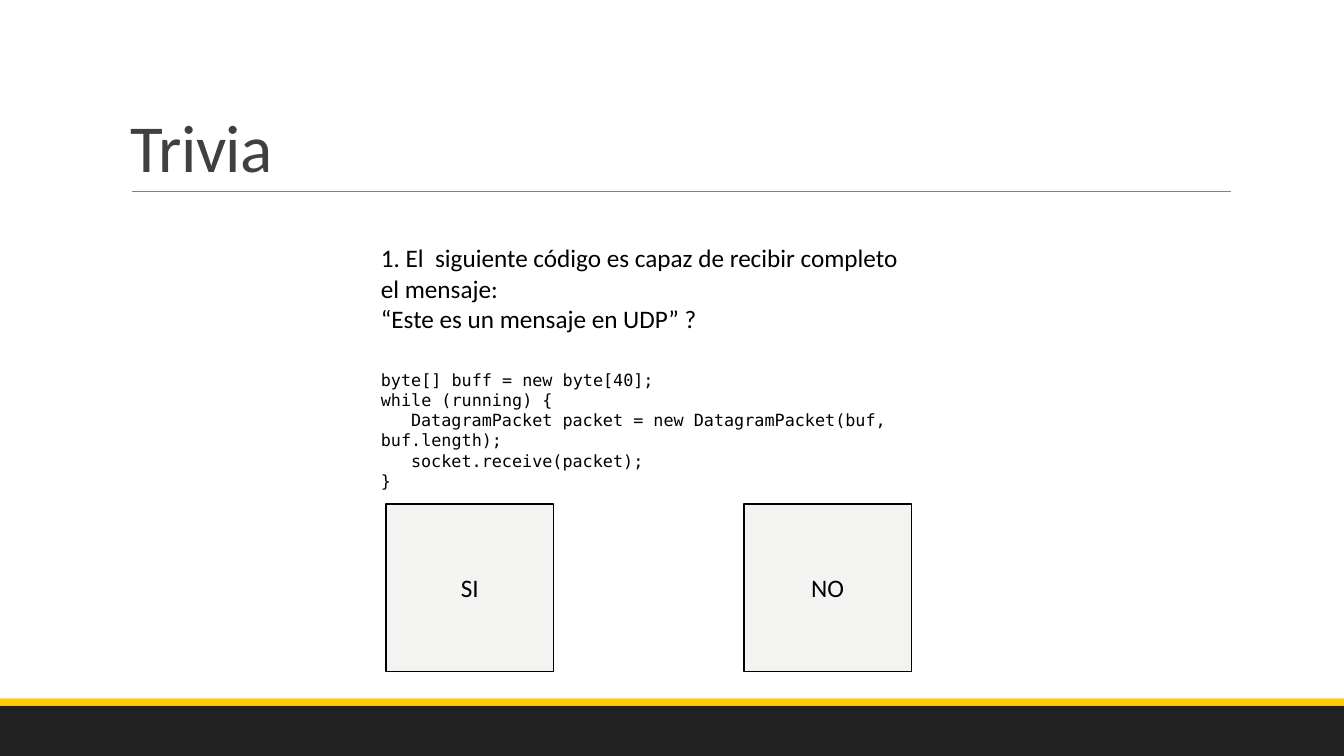
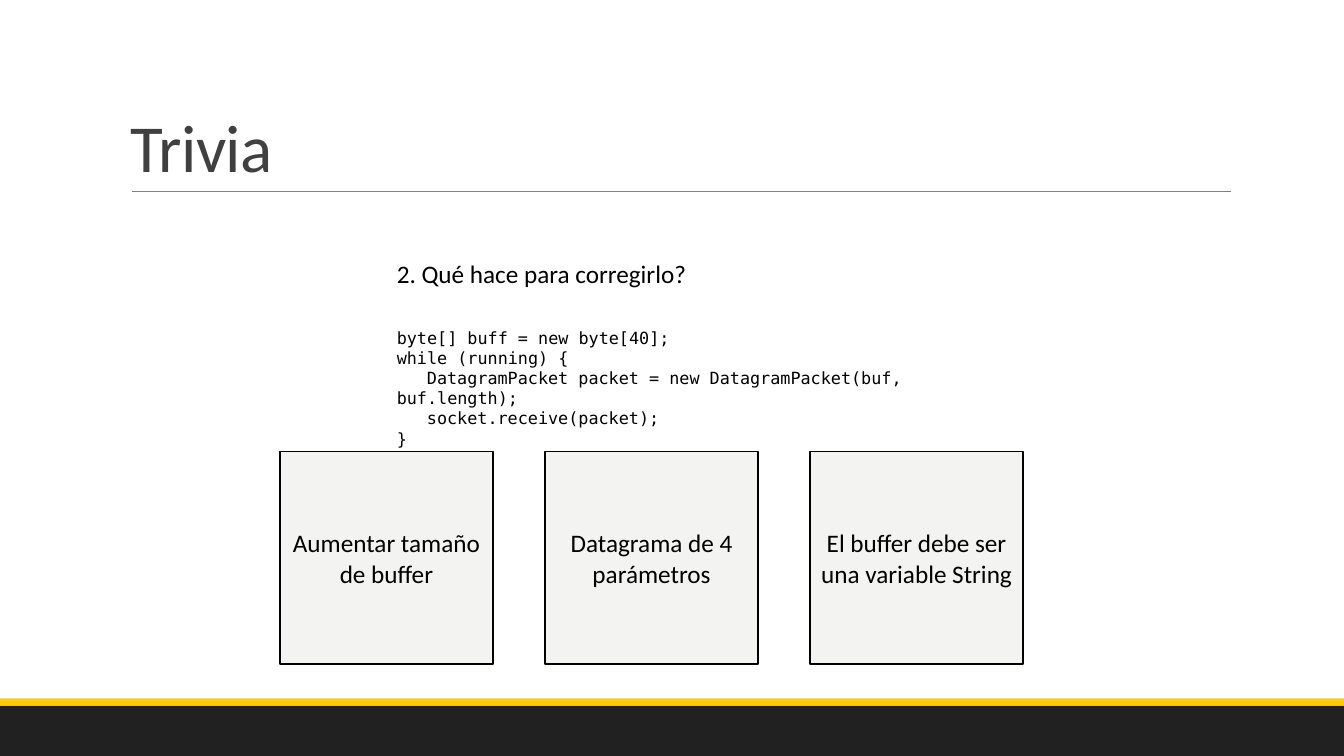
from pptx import Presentation
from pptx import util as u
from pptx.dml.color import RGBColor
from pptx.enum import shapes, text
from pptx.oxml.ns import qn

Cm, Pt = u.Cm, u.Pt

SLIDE_W, SLIDE_H = 33.87, 19.05
DARK, YELLOW, RULE_GREY = "212121", "FFCA08", "808080"
ANSWER_FILL, BLACK = "F3F3F2", "000000"

TITLE = {"name": "Calibri", "size": Pt(48), "color": "404040"}
BODY = {"name": "Calibri", "size": Pt(18), "color": BLACK}
CODE = {"name": "DejaVu Sans Mono", "size": Pt(12), "color": BLACK}
CODE_INDENT = 0.76

# Each line of code with its indent level
RECEIVER_CODE = [
    ("byte[] buff = new byte[40];", 0),
    ("while (running) {", 0),
    ("DatagramPacket packet = new DatagramPacket(buf, buf.length);", 1),
    ("socket.receive(packet);", 1),
    ("}", 0),
]

QUESTIONS = [
    {
        "question": [
            "1. El  siguiente código es capaz de recibir completo el mensaje:",
            "“Este es un mensaje en UDP” ?",
        ],
        "left": 9.35, "question_top": 5.99, "question_height": 2.57, "code_top": 9.19,
        "answers": ["SI", "NO"],
        "first_answer": (9.73, 12.7), "side": 4.22, "pitch": 9.02,
    },
    {
        "question": ["2. Qué hace para corregirlo?"],
        "left": 9.75, "question_top": 6.38, "question_height": 1.02, "code_top": 8.13,
        "answers": [
            "Aumentar tamaño de buffer",
            "Datagrama de 4 parámetros",
            "El buffer debe ser una variable String",
        ],
        "first_answer": (7.06, 11.38), "side": 5.36, "pitch": 6.68,
    },
]


def rgb(value):
    return RGBColor.from_string(value)


def write(frame, lines, style, **paragraph_format):
    """Fill the frame with one paragraph per line and return the paragraphs."""
    frame.word_wrap = True
    paragraphs = []
    for number, line in enumerate(lines):
        paragraph = frame.add_paragraph() if number else frame.paragraphs[0]
        run = paragraph.add_run()
        run.text = line
        for key, value in style.items():
            if key == "color":
                run.font.color.rgb = rgb(value)
            else:
                setattr(run.font, key, value)
        for key, value in paragraph_format.items():
            setattr(paragraph, key, value)
        paragraphs.append(paragraph)
    return paragraphs


def add_text(slide, left, top, width, height, lines, style, **paragraph_format):
    box = slide.shapes.add_textbox(Cm(left), Cm(top), Cm(width), Cm(height))
    return box.text_frame, write(box.text_frame, lines, style, **paragraph_format)


def add_rectangle(slide, left, top, width, height, fill, outline=None):
    rectangle = slide.shapes.add_shape(
        shapes.MSO_SHAPE.RECTANGLE, Cm(left), Cm(top), Cm(width), Cm(height))
    rectangle.shadow.inherit = False
    rectangle.fill.solid()
    rectangle.fill.fore_color.rgb = rgb(fill)
    if outline:
        rectangle.line.color.rgb = rgb(outline)
        rectangle.line.width = Pt(1.25)
    else:
        rectangle.line.fill.background()
    return rectangle


def add_title_rule(slide):
    rule = slide.shapes.add_connector(
        shapes.MSO_CONNECTOR.STRAIGHT, Cm(3.33), Cm(4.83), Cm(31.01), Cm(4.83))
    rule.line.color.rgb = rgb(RULE_GREY)
    rule.line.width = Pt(0.5)
    properties = rule._element.spPr
    properties.append(properties.makeelement(qn("a:effectLst"), {}))


def add_frame(slide, title):
    """Draw the footer bands, the title and its rule."""
    add_rectangle(slide, 0, 17.78, SLIDE_W, 1.27, DARK)
    add_rectangle(slide, 0, 17.6, SLIDE_W, 0.18, YELLOW)
    add_title_rule(slide)
    frame, paragraphs = add_text(
        slide, 3.05, 0.79, 27.94, 4.04, [title], TITLE, line_spacing=0.85)
    frame.vertical_anchor = text.MSO_ANCHOR.BOTTOM
    paragraphs[0].runs[0].font._element.set("spc", "-50")


def add_code(slide, left, top, code):
    lines = [line for line, _ in code]
    _, paragraphs = add_text(slide, left, top, 15.34, 2.82, lines, CODE)
    for paragraph, (_, level) in zip(paragraphs, code):
        if level:
            properties = paragraph._p.get_or_add_pPr()
            properties.set("marL", "0")
            properties.set("indent", str(Cm(level * CODE_INDENT)))


def add_answers(slide, answers, first_answer, side, pitch):
    """Draw a row of equally spaced square answers."""
    left, top = first_answer
    for number, answer in enumerate(answers):
        square = add_rectangle(
            slide, left + number * pitch, top, side, side, ANSWER_FILL, BLACK)
        square.text_frame.vertical_anchor = text.MSO_ANCHOR.MIDDLE
        write(square.text_frame, [answer], BODY, alignment=text.PP_ALIGN.CENTER)


def add_trivia_slide(deck, trivia):
    slide = deck.slides.add_slide(deck.slide_layouts[6])
    add_frame(slide, "Trivia")
    add_answers(slide, trivia["answers"], trivia["first_answer"],
                trivia["side"], trivia["pitch"])
    add_text(slide, trivia["left"], trivia["question_top"], 13.84,
             trivia["question_height"], trivia["question"], BODY)
    add_code(slide, trivia["left"], trivia["code_top"], RECEIVER_CODE)


def main():
    deck = Presentation()
    deck.slide_width, deck.slide_height = Cm(SLIDE_W), Cm(SLIDE_H)
    for trivia in QUESTIONS:
        add_trivia_slide(deck, trivia)
    deck.save("out.pptx")


if __name__ == "__main__":
    main()
